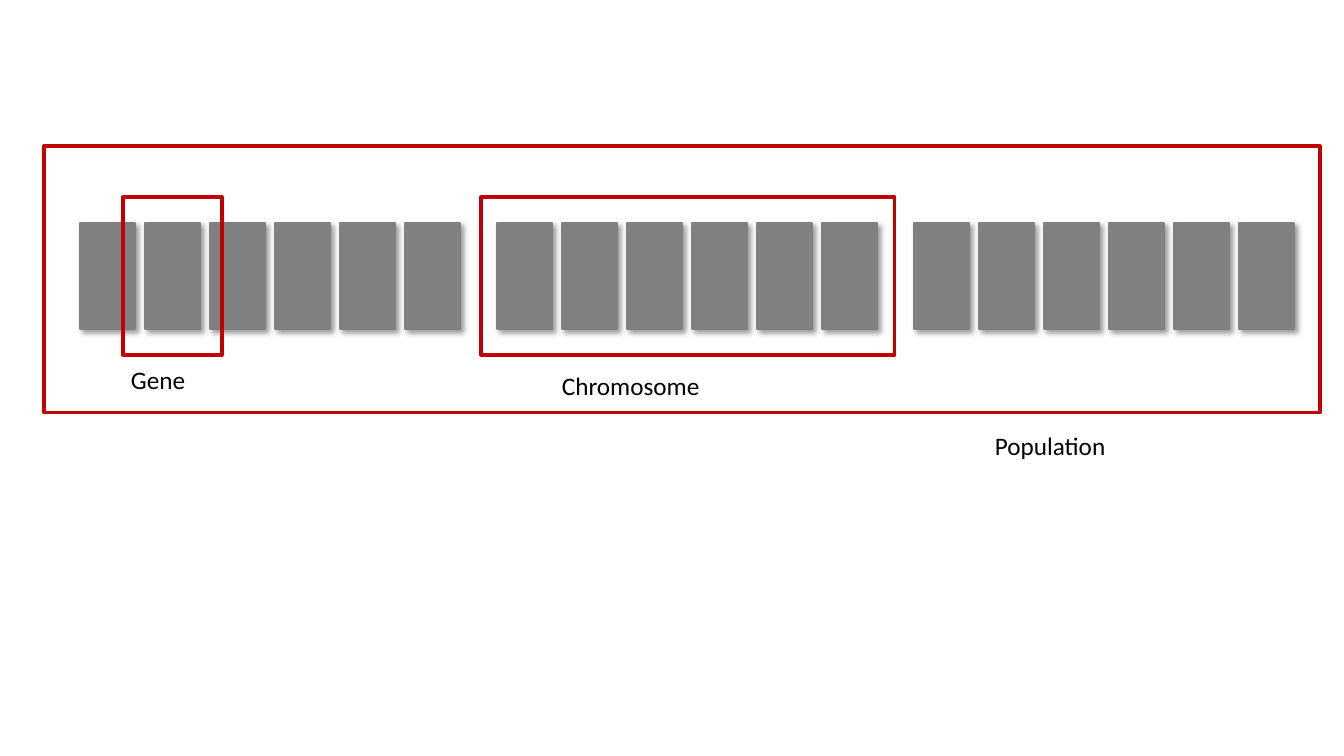
from pptx import Presentation
from pptx.dml.color import RGBColor
from pptx.enum.shapes import MSO_SHAPE
from pptx.enum.text import MSO_AUTO_SIZE
from pptx.oxml import parse_xml
from pptx.oxml.ns import nsdecls, qn
from pptx.util import Pt

SCALE = 914400 / 100.8
GREY = RGBColor(0x80, 0x80, 0x80)
RED = RGBColor(0xC0, 0x00, 0x00)
BLACK = RGBColor(0x00, 0x00, 0x00)
GENES = 6
SHADOW = (
    f'<a:outerShdw {nsdecls("a")} blurRad="50800" dist="38100" dir="2700000" '
    'algn="tl" rotWithShape="0"><a:srgbClr val="000000">'
    '<a:alpha val="40000"/></a:srgbClr></a:outerShdw>'
)
FONT = {"name": "Calibri", "size": Pt(18)}


def emu(*sizes):
    return [round(size * SCALE) for size in sizes]


def add_rect(slide, box, color, width):
    rect = slide.shapes.add_shape(MSO_SHAPE.RECTANGLE, *emu(*box))
    rect.shadow.inherit = False
    rect.line.color.rgb = color
    rect.line.width = Pt(width)
    return rect


def add_gene(slide, box):
    gene = add_rect(slide, box, GREY, 1)
    gene.fill.solid()
    gene.fill.fore_color.rgb = GREY
    gene._element.spPr.find(qn("a:effectLst")).append(parse_xml(SHADOW))


def add_chromosome(slide, box):
    left, top, width, height = box
    gap = 10
    size = (width - gap * (GENES - 1)) / GENES
    for index in range(GENES):
        add_gene(slide, (left + index * (size + gap), top, size, height))


def add_people(slide, box, count):
    left, top, width, height = box
    gap = 37
    size = (width - gap * (count - 1)) / count
    for index in range(count):
        add_chromosome(slide, (left + index * (size + gap), top, size, height))


def add_frame(slide, box):
    add_rect(slide, box, RED, 2.25).fill.background()


def add_label(slide, box, text):
    frame = slide.shapes.add_textbox(*emu(*box)).text_frame
    frame.word_wrap = True
    frame.auto_size = MSO_AUTO_SIZE.SHAPE_TO_FIT_TEXT
    run = frame.paragraphs[0].add_run()
    run.text = text
    for name, value in FONT.items():
        setattr(run.font, name, value)
    run.font.color.rgb = BLACK


deck = Presentation()
deck.slide_width, deck.slide_height = emu(1344, 756)
slide = deck.slides.add_slide(deck.slide_layouts[6])

add_people(slide, (80, 223, 1214, 106), 3)
for box in ((123, 197, 99, 158), (481, 197, 414, 158), (44, 146, 1276, 267)):
    add_frame(slide, box)
for text, box in (
    ("Gene", (121, 359, 105, 40)),
    ("Chromosome", (552, 365, 306, 40)),
    ("Population", (985, 425, 251, 40)),
):
    add_label(slide, box, text)

deck.save("out.pptx")
